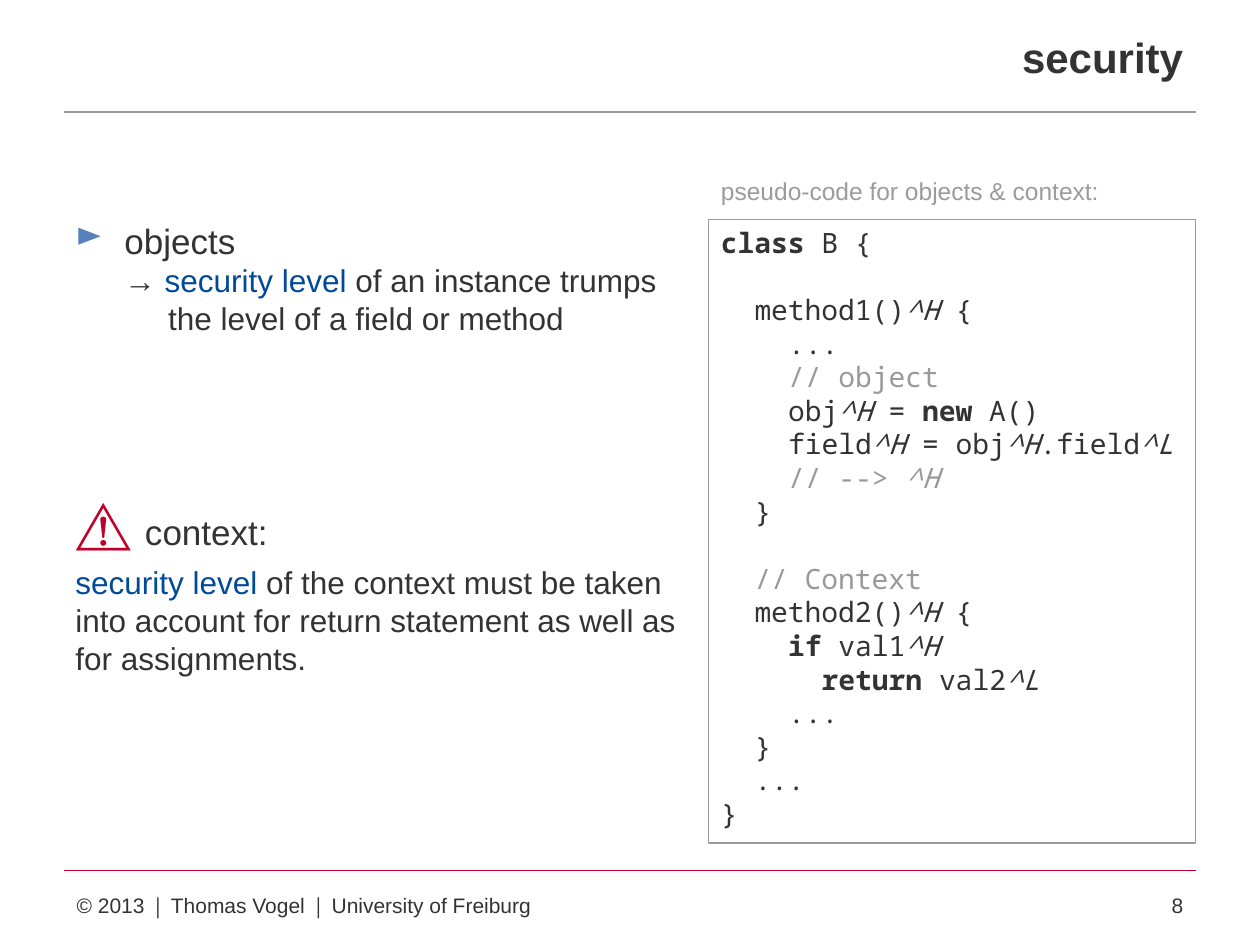
"""Build a slide on security levels of objects and context."""
import pptx
import pptx.util
import pptx.dml.color
import pptx.enum.shapes
import pptx.enum.text
import pptx.oxml.ns
import lxml.etree

Pt = pptx.util.Pt
RGB = pptx.dml.color.RGBColor
ALIGN = pptx.enum.text.PP_ALIGN
ANCHOR = pptx.enum.text.MSO_ANCHOR

DARK = RGB(0x33, 0x33, 0x33)
BLUE = RGB(0x00, 0x4A, 0x99)
BULLET_BLUE = RGB(0x57, 0x81, 0xBD)
RED = RGB(0xC1, 0x00, 0x2A)
GRAY = RGB(0x9A, 0x9B, 0x9C)
COMMENT = RGB(0x99, 0x99, 0x99)
WHITE = RGB(0xFF, 0xFF, 0xFF)

STYLES = {
    "": {},
    "bold": {"bold": True},
    "level": {"italic": True},
    "comment": {"color": COMMENT},
    "comment level": {"color": COMMENT, "italic": True},
    "term": {"color": BLUE},
    "warning": {"color": RED, "size": 32},
    "gap": {"size": 28},
}

TITLE = "security"
FOOTER = "© 2013 ∣ Thomas Vogel ∣ University of Freiburg"
PAGE = "8"
CAPTION = "pseudo-code for objects & context:"

BODY = [
    {"runs": ["objects"], "size": 20, "before": 4, "left": 28, "hang": 28, "bullet": "►"},
    {"runs": ["→ ", ("security level", "term"),
              " of an instance trumps the level of a field or method"],
     "size": 18, "left": 53, "hang": 25},
    {"runs": [("⚠", "warning"), (" ", "gap"), "context:"], "size": 20, "before": 87},
    {"runs": [("security level ", "term"),
              "of the context must be taken into account for return statement "
              "as well as for assignments."],
     "size": 18, "before": 4},
]

HIGH, LOW = ("^H", "level"), ("^L", "level")
CODE = [
    (0, 0, [("class ", "bold"), "B {"]),
    (1, 1, ["method1()", HIGH, " {"]),
    (2, 0, ["..."]),
    (2, 0, [("// object", "comment")]),
    (2, 0, ["obj", HIGH, " = ", ("new", "bold"), " A()"]),
    (2, 0, ["field", HIGH, " = obj", HIGH, ".field", LOW]),
    (2, 0, [("// --> ", "comment"), ("^H", "comment level")]),
    (1, 0, ["}"]),
    (1, 1, [("// Context", "comment")]),
    (1, 0, ["method2()", HIGH, " {"]),
    (2, 0, [("if ", "bold"), "val1", HIGH]),
    (3, 0, [("return ", "bold"), "val2", LOW]),
    (2, 0, ["..."]),
    (1, 0, ["}"]),
    (1, 0, ["..."]),
    (0, 0, ["}"]),
]
CODE_LINE = 19.2
CODE_INDENT = 19.2

LEFT, WIDTH = 36.72, 646.56
RIGHT = LEFT + WIDTH
CODE_LEFT, CODE_WIDTH = 404.9, 278.2


def write(holder, paragraphs, size=12, font="Arial", color=DARK, bold=False,
          align=ALIGN.LEFT, anchor=ANCHOR.TOP, line=None):
    """Fill a shape with paragraphs of styled runs."""
    frame = holder.text_frame
    frame.word_wrap = True
    frame.auto_size = pptx.enum.text.MSO_AUTO_SIZE.NONE
    frame.vertical_anchor = anchor
    frame.margin_left = frame.margin_right = Pt(7.2)
    frame.margin_top = frame.margin_bottom = Pt(3.6)
    for number, item in enumerate(paragraphs):
        paragraph = frame.add_paragraph() if number else frame.paragraphs[0]
        paragraph.alignment = align
        paragraph.space_before = Pt(item.get("before", 0))
        if line:
            paragraph.line_spacing = Pt(line)
        properties = paragraph._p.get_or_add_pPr()
        properties.set("marL", str(Pt(item.get("left", 0))))
        properties.set("indent", str(-Pt(item.get("hang", 0))))
        if "bullet" in item:
            tint = lxml.etree.SubElement(properties, pptx.oxml.ns.qn("a:buClr"))
            lxml.etree.SubElement(tint, pptx.oxml.ns.qn("a:srgbClr"), val=str(BULLET_BLUE))
            lxml.etree.SubElement(properties, pptx.oxml.ns.qn("a:buChar"), char=item["bullet"])
        for part in item["runs"]:
            text, style = (part, "") if isinstance(part, str) else part
            look = STYLES[style]
            run = paragraph.add_run()
            run.text = text
            run.font.name = font
            run.font.size = Pt(look.get("size", item.get("size", size)))
            run.font.bold = look.get("bold", bold)
            run.font.italic = look.get("italic", False)
            run.font.color.rgb = look.get("color", color)


def place(left, top, width, height):
    return [Pt(value) for value in (left, top, width, height)]


deck = pptx.Presentation()
deck.slide_width, deck.slide_height = Pt(720), Pt(540)
slide = deck.slides.add_slide(deck.slide_layouts[5])
shapes = slide.shapes

for y, color in ((64, GRAY), (497.4, RED)):
    rule = shapes.add_connector(pptx.enum.shapes.MSO_CONNECTOR.STRAIGHT,
                                Pt(LEFT), Pt(y), Pt(RIGHT), Pt(y))
    rule.line.color.rgb = color
    rule.line.width = Pt(0.75)
    lxml.etree.SubElement(rule._element.spPr, pptx.oxml.ns.qn("a:effectLst"))

title = shapes.title
title.left, title.top, title.width, title.height = place(LEFT, 14.4, WIDTH, 36)
write(title, [{"runs": [TITLE]}], size=24, bold=True, align=ALIGN.RIGHT, anchor=ANCHOR.BOTTOM)

for text, left, width, align in ((FOOTER, LEFT, 290, ALIGN.LEFT),
                                 (PAGE, RIGHT - 55.4, 55.4, ALIGN.RIGHT)):
    footer = shapes.add_textbox(*place(left, 508.3, width, 19.4))
    write(footer, [{"runs": [text]}], align=align, anchor=ANCHOR.BOTTOM)

body = shapes.add_textbox(*place(36, 121.7, 369.4, 375))
write(body, BODY)

code_lines = [{"runs": runs, "left": depth * CODE_INDENT, "before": skipped * CODE_LINE}
              for depth, skipped, runs in CODE]
panels = (
    (125.3, 356.4, GRAY, code_lines,
     {"size": 16, "font": "Noto Sans Mono", "line": CODE_LINE}),
    (96.5, 24.5, None, [{"runs": [CAPTION]}],
     {"size": 14, "color": GRAY, "anchor": ANCHOR.BOTTOM}),
)
for top, height, border, paragraphs, look in panels:
    panel = shapes.add_shape(pptx.enum.shapes.MSO_SHAPE.RECTANGLE,
                             *place(CODE_LEFT, top, CODE_WIDTH, height))
    panel.shadow.inherit = False
    panel.fill.solid()
    panel.fill.fore_color.rgb = WHITE
    if border:
        panel.line.color.rgb = border
        panel.line.width = Pt(0.75)
    else:
        panel.line.fill.background()
    write(panel, paragraphs, **look)

deck.save("out.pptx")
